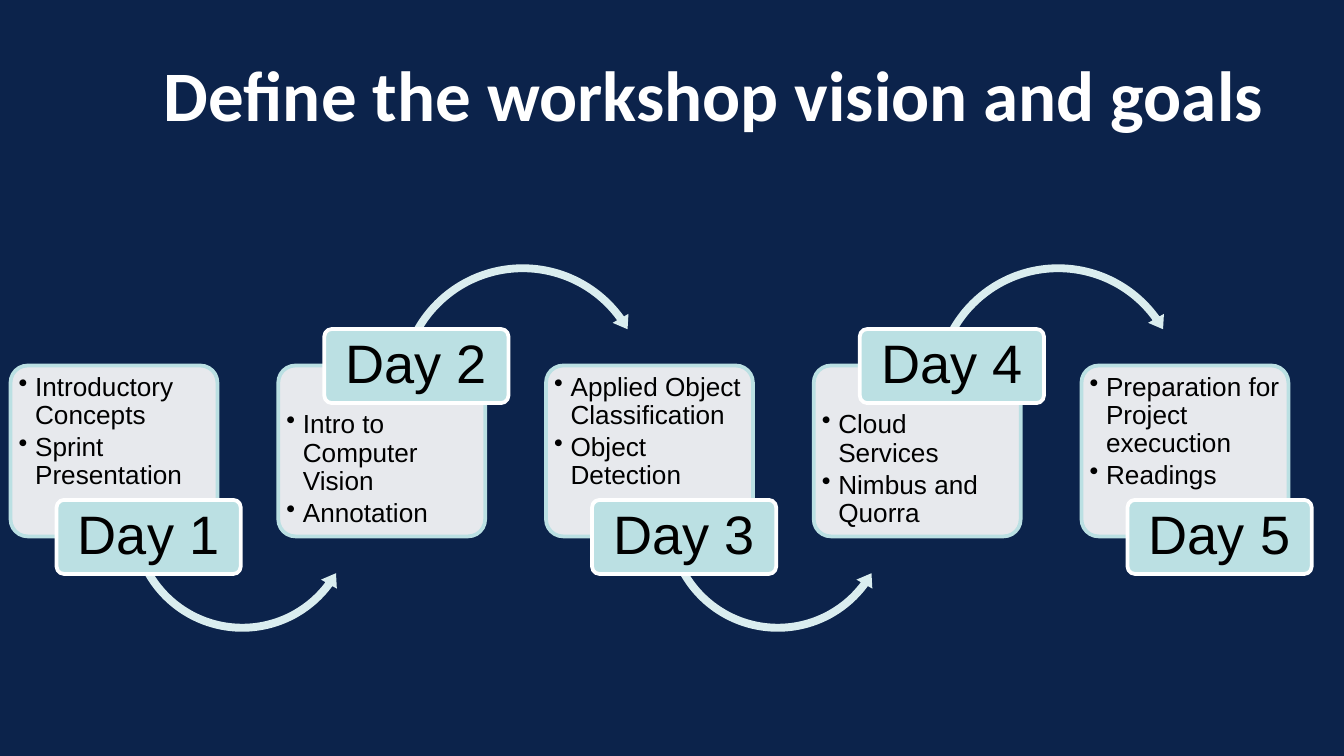
from lxml import etree
from pptx import Presentation
from pptx.dml.color import RGBColor
from pptx.enum.shapes import MSO_SHAPE
from pptx.enum.text import MSO_ANCHOR, PP_ALIGN
from pptx.oxml.ns import qn
from pptx.util import Cm, Pt

ROUNDED = MSO_SHAPE.ROUNDED_RECTANGLE
ARC_OVER = MSO_SHAPE.CIRCULAR_ARROW
ARC_UNDER = MSO_SHAPE.LEFT_CIRCULAR_ARROW
TOP, MIDDLE = MSO_ANCHOR.TOP, MSO_ANCHOR.MIDDLE
LEFT, CENTER = PP_ALIGN.LEFT, PP_ALIGN.CENTER

COLORS = {
    "background": "0C234B",
    "white": "FFFFFF",
    "teal": "BBE0E3",
    "arrow": "DAEDEF",
    "text": "000000",
}

TITLE = "Define the workshop vision and goals"
DAYS = [
    ["Introductory Concepts", "Sprint Presentation"],
    ["Intro to Computer Vision", "Annotation"],
    ["Applied Object Classification", "Object Detection"],
    ["Cloud Services", "Nimbus and Quorra"],
    ["Preparation for Project execuction", "Readings"],
]

# Lengths in centimetres
FIRST_LEFT, DAY_PITCH = 0.2, 5.06
CARD_TOP, CARD_WIDTH, CARD_HEIGHT = 6.91, 3.91, 3.23
LABEL_OFFSET, LABEL_WIDTH, LABEL_HEIGHT = 0.87, 3.48, 1.4
ARROW_OFFSET = 2.17

# Odd days carry their label at the bottom, even days at the top.
LABEL_BELOW = {
    "label_top": 9.45, "text_top": 0.06,
    "arc": ARC_UNDER, "arc_top": 7.62, "arc_size": 4.42,
    "arc_adjust": [0.034, 4.151, 21.906, 90.245, 0.039],
}
LABEL_ABOVE = {
    "label_top": 6.22, "text_top": 0.77,
    "arc": ARC_OVER, "arc_top": 4.9, "arc_size": 4.9,
    "arc_adjust": [0.03, 3.698, 194.547, 125.755, 0.035],
}


def rgb(name):
    return RGBColor.from_string(COLORS[name])


def set_frame(frame, anchor, insets):
    """Wrap the text and set its anchor and left, top, right, bottom insets."""
    frame.word_wrap = True
    frame.vertical_anchor = anchor
    (frame.margin_left, frame.margin_top,
     frame.margin_right, frame.margin_bottom) = map(Cm, insets)


def add_run(paragraph, text, font_name, size, color, bold=False):
    run = paragraph.add_run()
    run.text = text
    run.font.name = font_name
    run.font.size = Pt(size)
    run.font.bold = bold
    run.font.color.rgb = rgb(color)


def add_bullet(paragraph):
    properties = paragraph._p.get_or_add_pPr()
    properties.set("marL", str(Cm(0.31)))
    properties.set("indent", str(-Cm(0.31)))
    etree.SubElement(properties, qn("a:buChar"), char="•")


def add_solid(slide, preset, box, adjustments, fill, line=None):
    shape = slide.shapes.add_shape(preset, *map(Cm, box))
    for index, value in enumerate(adjustments):
        shape.adjustments[index] = value
    shape.shadow.inherit = False
    shape.fill.solid()
    shape.fill.fore_color.rgb = rgb(fill)
    if line:
        shape.line.color.rgb = rgb(line)
        shape.line.width = Pt(2)
    else:
        shape.line.fill.background()
    return shape


def add_title(slide):
    title = slide.shapes.title
    title.left, title.top, title.width, title.height = map(
        Cm, (2.44, 0.97, 22.1, 1.6))
    set_frame(title.text_frame, MIDDLE, (0.1, 0.1, 0.1, 0.1))
    paragraph = title.text_frame.paragraphs[0]
    paragraph.alignment = CENTER
    add_run(paragraph, TITLE, "Calibri", 38, "white", bold=True)


def add_card(slide, left, topics, text_top):
    card = add_solid(slide, ROUNDED, (left, CARD_TOP, CARD_WIDTH, CARD_HEIGHT),
                     [0.1], "white", "teal")
    white = card.fill._xPr.find(qn("a:solidFill"))[0]
    etree.SubElement(white, qn("a:alpha"), val="90000")
    frame = card.text_frame
    set_frame(frame, TOP, (0.06, text_top, 0.06, 0.06))
    for index, topic in enumerate(topics):
        paragraph = frame.add_paragraph() if index else frame.paragraphs[0]
        paragraph.alignment = LEFT
        paragraph.line_spacing = 0.9
        paragraph.space_after = Pt(2)
        add_bullet(paragraph)
        add_run(paragraph, topic, "Arial", 14, "text")


def add_label(slide, left, top, text):
    label = add_solid(slide, ROUNDED, (left, top, LABEL_WIDTH, LABEL_HEIGHT),
                      [0.1], "teal", "white")
    set_frame(label.text_frame, MIDDLE, (0.15, 0.1, 0.15, 0.1))
    paragraph = label.text_frame.paragraphs[0]
    paragraph.alignment = CENTER
    paragraph.line_spacing = 0.9
    add_run(paragraph, text, "Arial", 29, "text")


def add_day(slide, number, topics, leads_on):
    """Add one day's card and label, with an arrow if another day follows."""
    layout = LABEL_BELOW if number % 2 else LABEL_ABOVE
    left = FIRST_LEFT + (number - 1) * DAY_PITCH
    add_card(slide, left, topics, layout["text_top"])
    if leads_on:
        size = layout["arc_size"]
        add_solid(slide, layout["arc"],
                  (left + ARROW_OFFSET, layout["arc_top"], size, size),
                  layout["arc_adjust"], "arrow")
    add_label(slide, left + LABEL_OFFSET, layout["label_top"], f"Day {number}")


def main():
    presentation = Presentation()
    presentation.slide_width = Cm(25.4)
    presentation.slide_height = Cm(14.29)
    slide = presentation.slides.add_slide(presentation.slide_layouts[5])
    slide.background.fill.solid()
    slide.background.fill.fore_color.rgb = rgb("background")
    add_title(slide)
    for number, topics in enumerate(DAYS, start=1):
        add_day(slide, number, topics, leads_on=number < len(DAYS))
    presentation.save("out.pptx")


if __name__ == "__main__":
    main()
